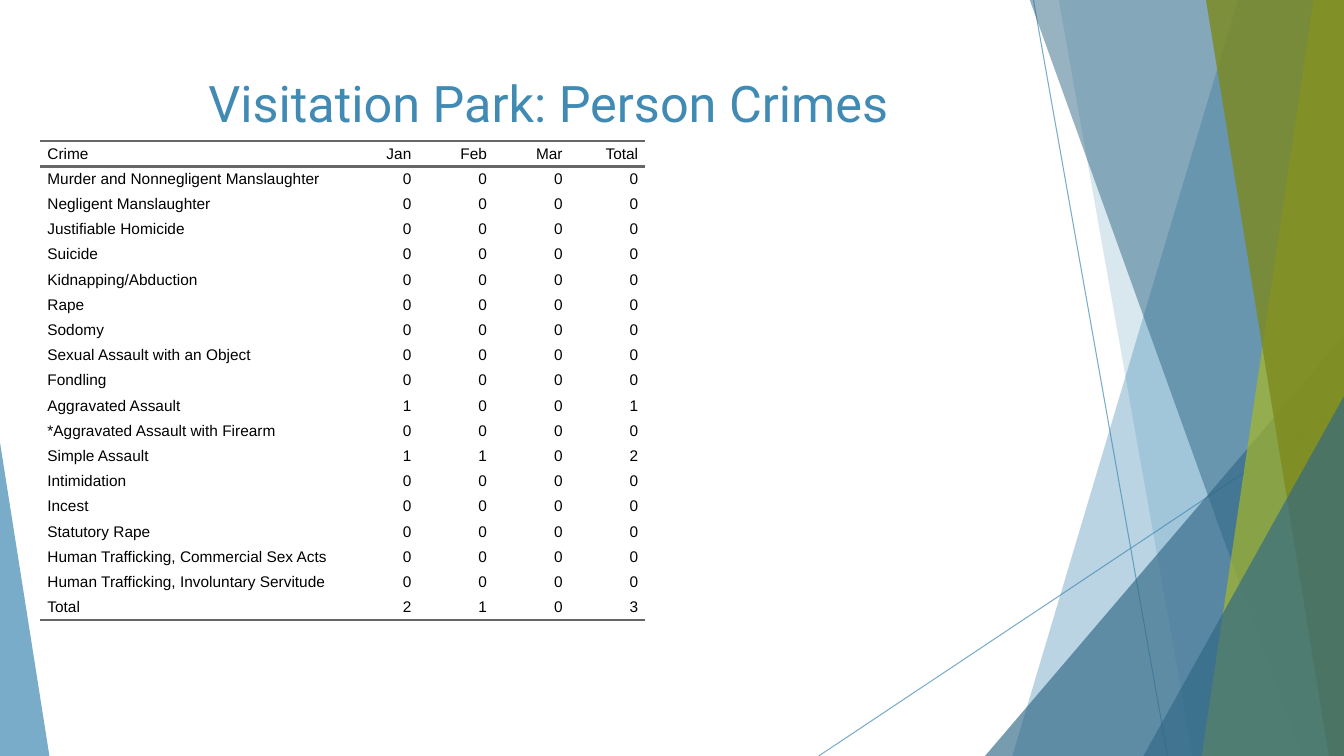
from lxml.etree import SubElement
from pptx import Presentation
from pptx.dml.color import RGBColor
from pptx.enum.shapes import MSO_CONNECTOR, MSO_SHAPE
from pptx.enum.text import MSO_ANCHOR, PP_ALIGN
from pptx.oxml.ns import qn
from pptx.util import Inches, Pt

BLUE = RGBColor(0x41, 0x8A, 0xB3)
DARK_BLUE = RGBColor(0x31, 0x68, 0x86)
LIME = RGBColor(0xA6, 0xB7, 0x27)
OLIVE = RGBColor(0x7D, 0x89, 0x1D)
GRAY = RGBColor(0x66, 0x66, 0x66)
BLACK = RGBColor(0, 0, 0)

WIDTH, HEIGHT = 13.33, 7.5
BAND_TOP = -0.01
ROW_HEIGHT = 0.25
COLUMN_WIDTHS = [3, 0.75, 0.75, 0.75, 0.75]
NO_GRID_STYLE = "{2D5ABB26-0587-4C30-8999-92F81FD0307C}"

HEADINGS = ["Crime", "Jan", "Feb", "Mar", "Total"]
MONTHLY_COUNTS = {
    "Murder and Nonnegligent Manslaughter": (0, 0, 0),
    "Negligent Manslaughter": (0, 0, 0),
    "Justifiable Homicide": (0, 0, 0),
    "Suicide": (0, 0, 0),
    "Kidnapping/Abduction": (0, 0, 0),
    "Rape": (0, 0, 0),
    "Sodomy": (0, 0, 0),
    "Sexual Assault with an Object": (0, 0, 0),
    "Fondling": (0, 0, 0),
    "Aggravated Assault": (1, 0, 0),
    "*Aggravated Assault with Firearm": (0, 0, 0),
    "Simple Assault": (1, 1, 0),
    "Intimidation": (0, 0, 0),
    "Incest": (0, 0, 0),
    "Statutory Rape": (0, 0, 0),
    "Human Trafficking, Commercial Sex Acts": (0, 0, 0),
    "Human Trafficking, Involuntary Servitude": (0, 0, 0),
}


def set_opacity(shape, percent):
    for color in shape.element.spPr.iter(qn("a:srgbClr")):
        SubElement(color, qn("a:alpha"), val=str(percent * 1000))


def style_facet(shape, color, opacity):
    shape.shadow.inherit = False
    shape.fill.solid()
    shape.fill.fore_color.rgb = color
    set_opacity(shape, opacity)
    shape.line.fill.background()


def add_band(slide, top_left, bottom_left, color, opacity):
    start, *corners = [
        (Inches(x), Inches(y))
        for x, y in [(top_left, BAND_TOP), (WIDTH, BAND_TOP),
                     (WIDTH, HEIGHT), (bottom_left, HEIGHT)]
    ]
    builder = slide.shapes.build_freeform(*start)
    builder.add_line_segments(corners, close=True)
    style_facet(builder.convert_to_shape(), color, opacity)


def add_triangle(slide, left, top, width, apex, color, opacity):
    shape = slide.shapes.add_shape(
        MSO_SHAPE.ISOSCELES_TRIANGLE, Inches(left), Inches(top),
        Inches(width), Inches(HEIGHT - top))
    shape.adjustments[0] = apex
    style_facet(shape, color, opacity)


def add_thin_line(slide, start, end):
    connector = slide.shapes.add_connector(
        MSO_CONNECTOR.STRAIGHT, *map(Inches, start + end))
    connector.line.color.rgb = BLUE
    connector.line.width = Pt(0.75)
    set_opacity(connector, 70)
    SubElement(connector.element.spPr, qn("a:effectLst"))


def write_text(text_frame, text, *, font, size, color,
               align=PP_ALIGN.LEFT, spacing=0, indent=0):
    paragraph = text_frame.paragraphs[0]
    paragraph.alignment = align
    paragraph.space_before = paragraph.space_after = Pt(spacing)
    if indent:
        properties = paragraph._p.get_or_add_pPr()
        for name in ("marL", "marR"):
            properties.set(name, str(Inches(indent)))
        properties.set("indent", "0")
    run = paragraph.add_run()
    run.text = text
    run.font.name = font
    run.font.size = Pt(size)
    run.font.color.rgb = color


def add_border(cell, side):
    line = SubElement(cell._tc.get_or_add_tcPr(), qn(f"a:ln{side}"),
                      w=str(Pt(2)))
    fill = SubElement(line, qn("a:solidFill"))
    SubElement(fill, qn("a:srgbClr"), val=str(GRAY))


def fill_cell(cell, text, align, border_sides):
    cell.margin_left = cell.margin_right = 0
    cell.margin_top = cell.margin_bottom = 0
    cell.vertical_anchor = MSO_ANCHOR.MIDDLE
    for side in border_sides:
        add_border(cell, side)
    cell.fill.background()
    write_text(cell.text_frame, text, font="Arial", size=11, color=BLACK,
               align=align, spacing=5, indent=0.07)


def crime_rows():
    counts = dict(MONTHLY_COUNTS)
    counts["Total"] = tuple(map(sum, zip(*MONTHLY_COUNTS.values())))
    return [HEADINGS] + [
        [crime, *map(str, months), str(sum(months))]
        for crime, months in counts.items()
    ]


def add_crime_table(slide):
    rows = crime_rows()
    frame = slide.shapes.add_table(
        len(rows), len(HEADINGS), Inches(0.4), Inches(1.4),
        Inches(sum(COLUMN_WIDTHS)), Inches(ROW_HEIGHT * len(rows)))
    table = frame.table
    table.first_row = table.horz_banding = False
    table._tbl.tblPr.find(qn("a:tableStyleId")).text = NO_GRID_STYLE
    for column, width in zip(table.columns, COLUMN_WIDTHS):
        column.width = Inches(width)
    border_sides = {0: "TB", len(rows) - 1: "B"}
    for row_index, values in enumerate(rows):
        table.rows[row_index].height = Inches(ROW_HEIGHT)
        for column_index, value in enumerate(values):
            align = PP_ALIGN.RIGHT if column_index else PP_ALIGN.LEFT
            fill_cell(table.cell(row_index, column_index), value, align,
                      border_sides.get(row_index, ""))


def add_title(slide, text):
    box = slide.shapes.add_textbox(
        Inches(0.74), Inches(0.67), Inches(9.4), Inches(1.44))
    box.text_frame.word_wrap = True
    box.text_frame.vertical_anchor = MSO_ANCHOR.TOP
    write_text(box.text_frame, text, font="Roboto", size=36, color=BLUE,
               align=PP_ALIGN.CENTER)


def add_facets(slide):
    add_thin_line(slide, (10.25, 0), (11.58, HEIGHT))
    add_thin_line(slide, (WIDTH, 4.03), (8.12, HEIGHT))
    add_band(slide, 12.28, 10.04, BLUE, 36)
    add_band(slide, 10.5, 11.83, BLUE, 20)
    add_triangle(slide, 9.77, 3.33, 3.56, 1, DARK_BLUE, 66)
    add_band(slide, 10.21, 12.91, DARK_BLUE, 50)
    add_band(slide, 13.03, 11.92, LIME, 70)
    add_band(slide, 11.96, 13.18, OLIVE, 80)
    add_triangle(slide, 11.34, 3.93, 1.99, 1, DARK_BLUE, 66)
    add_triangle(slide, 0, 4.39, 0.49, 0, BLUE, 70)


def main():
    presentation = Presentation()
    presentation.slide_width = Inches(WIDTH)
    presentation.slide_height = Inches(HEIGHT)
    slide = presentation.slides.add_slide(presentation.slide_layouts[6])
    add_facets(slide)
    add_crime_table(slide)
    add_title(slide, "Visitation Park: Person Crimes")
    presentation.save("out.pptx")


main()
